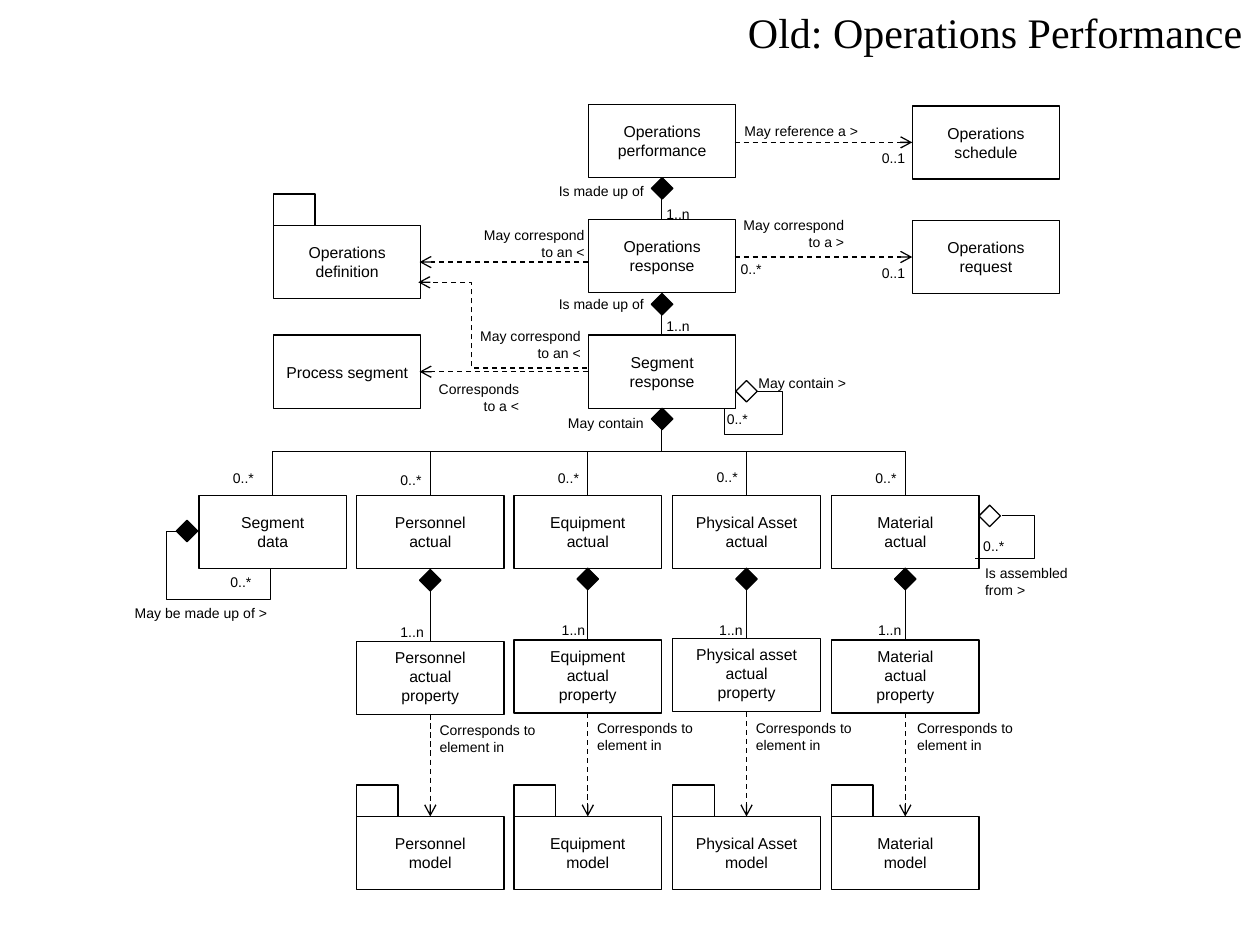
from dataclasses import dataclass

from lxml.etree import SubElement
from pptx import Presentation
from pptx.dml.color import RGBColor
from pptx.enum.dml import MSO_LINE
from pptx.enum.shapes import MSO_CONNECTOR as Link, MSO_SHAPE as Kind
from pptx.enum.text import MSO_ANCHOR as Anchor, MSO_AUTO_SIZE as Fit, PP_ALIGN as Align
from pptx.oxml.ns import qn
from pptx.util import Inches, Pt

BLACK = RGBColor(0, 0, 0)
WHITE = RGBColor(255, 255, 255)
WIDE, HIGH = 1.17, 0.58
MID = WIDE / 2
GEM = 0.17
TRUNK = 5.25
SPLIT, ROW = 3.24, 3.93
PACK = 6.48


@dataclass
class Box:
    text: str
    left: float
    top: float
    tab: bool = False
    inset: float = 0.05


@dataclass
class Label:
    text: str
    left: float
    top: float
    wide: float
    high: float = 0.24
    align: Align = Align.LEFT
    size: float = 8
    font: str = "Arial"


@dataclass
class Gem:
    left: float
    top: float
    fill: RGBColor = BLACK


@dataclass
class Line:
    start: tuple[float, float]
    end: tuple[float, float]
    dash: bool = False


@dataclass
class Path:
    points: list[tuple[float, float]]
    dash: bool = False


@dataclass
class Column:
    name: str
    left: float
    prop: float
    gem: float
    many: Label
    one: Label
    note: Label


def column(name: str, left: float, prop: float, many: float,
           one: tuple[float, float], note: tuple[float, float], gem: float = 4.51) -> Column:
    return Column(name, left, prop, gem,
                  Label("0..*", left + 0.25, many, 0.37),
                  Label("1..n", *one, 0.39, 0.23),
                  Label("Corresponds to\nelement in", *note, 1, 0.37))


COLUMNS = [
    column("Personnel", 2.83, 5.09, 3.69, (3.08, 4.9), (3.39, 5.68), 4.52),
    column("Equipment", 4.08, 5.08, 3.68, (4.36, 4.88), (4.64, 5.66)),
    column("Physical Asset", 5.34, 5.07, 3.67, (5.61, 4.88), (5.9, 5.66)),
    column("Material", 6.6, 5.08, 3.68, (6.87, 4.88), (7.18, 5.66)),
]
BOXES = [
    Box("Operations\nperformance", 4.67, 0.83),
    Box("Operations\nresponse", 4.67, 1.74),
    Box("Segment\nresponse", 4.67, 2.66),
    Box("Operations\nschedule", 7.24, 0.84),
    Box("Operations\nrequest", 7.24, 1.75),
    Box("Operations\ndefinition", 2.17, 1.79, tab=True),
    Box("Process segment", 2.17, 2.66),
    Box("Segment\ndata", 1.58, ROW),
]
LINES = [
    Line((TRUNK, 1.41), (TRUNK, 1.74)),
    Line((TRUNK, 2.33), (TRUNK, 2.66)),
    Line((5.83, 1.13), (7.24, 1.13), True),
    Line((5.83, 2.04), (7.24, 2.04), True),
    Line((4.67, 2.08), (3.33, 2.08), True),
    Line((4.67, 2.95), (3.33, 2.95), True),
]
PATHS = [
    Path([(4.66, 2.92), (3.74, 2.92), (3.74, 2.24), (3.32, 2.24)], True),
    Path([(5.75, 3.24), (5.75, 3.45), (6.21, 3.45), (6.21, 3.11), (5.84, 3.11)]),
    Path([(7.95, 4.09), (8.21, 4.09), (8.21, 4.43), (7.74, 4.43)]),
    Path([(1.57, 4.22), (1.32, 4.22), (1.32, 4.76), (2.15, 4.76), (2.15, 4.51)]),
]
GEMS = [Gem(5.17, top) for top in (1.41, 2.33, SPLIT)] + [
    Gem(1.4, 4.13), Gem(5.84, 3.02, WHITE), Gem(7.77, 4.01, WHITE)]
LABELS = [
    Label("Old: Operations Performance", 5.8, 0, 4.16, 0.5, Align.RIGHT, 24, "Times New Roman"),
    Label("May reference a >", 5.8, 0.92, 1.11, align=Align.RIGHT),
    Label("0..1", 6.9, 1.14, 0.39, 0.23),
    Label("Is made up of", 4.33, 1.4, 0.88, 0.23, Align.RIGHT),
    Label("1..n", 5.19, 1.58, 0.39, 0.23),
    Label("May correspond\nto a >", 5.8, 1.67, 1, 0.37, Align.RIGHT),
    Label("0..*", 5.78, 2.02, 0.37),
    Label("0..1", 6.9, 2.05, 0.39, 0.23),
    Label("May correspond\nto an <", 3.74, 1.75, 1, 0.37, Align.RIGHT),
    Label("Is made up of", 4.33, 2.3, 0.88, 0.23, Align.RIGHT),
    Label("1..n", 5.19, 2.47, 0.39, 0.23),
    Label("May correspond\nto an <", 3.71, 2.55, 1, 0.37, Align.RIGHT),
    Label("Corresponds\nto a <", 3.38, 2.97, 0.84, 0.37, Align.RIGHT),
    Label("May contain >", 5.92, 2.92, 0.91),
    Label("0..*", 5.67, 3.21, 0.37),
    Label("May contain", 4.41, SPLIT, 0.8, 0.23),
    Label("0..*", 1.75, 3.68, 0.37),
    Label("0..*", 1.73, 4.5, 0.37),
    Label("May be made up of >", 0.95, 4.75, 1.27, align=Align.RIGHT),
    Label("0..*", 7.7, 4.22, 0.37, align=Align.RIGHT),
    Label("Is assembled\nfrom >", 7.72, 4.43, 0.86, 0.37),
]


def write(frame, text: str, size: float, font: str, align: Align) -> None:
    frame.word_wrap = False
    frame.text = text
    for para in frame.paragraphs:
        para.alignment = align
        para.font.size, para.font.name = Pt(size), font
        para.font.color.rgb = BLACK


def ink(line, dash: bool) -> None:
    line.color.rgb = BLACK
    line.width = Pt(0.75)
    if dash:
        line.dash_style = MSO_LINE.DASH
        SubElement(line._get_or_add_ln(), qn("a:tailEnd"), type="arrow")


def draw_shape(shapes, kind: Kind, left: float, top: float, wide: float, high: float,
               fill: RGBColor = WHITE):
    shape = shapes.add_shape(kind, Inches(left), Inches(top), Inches(wide), Inches(high))
    shape.shadow.inherit = False
    shape.fill.solid()
    shape.fill.fore_color.rgb = fill
    ink(shape.line, False)
    return shape


def draw_box(shapes, box: Box) -> None:
    shape = draw_shape(shapes, Kind.RECTANGLE, box.left, box.top, WIDE, HIGH)
    frame = shape.text_frame
    frame.vertical_anchor = Anchor.MIDDLE
    frame.margin_top = Inches(box.inset)
    write(frame, box.text, 9, "Arial", Align.CENTER)
    if box.tab:
        draw_shape(shapes, Kind.RECTANGLE, box.left, box.top - 0.25, 0.33, 0.25)


def draw_label(shapes, label: Label) -> None:
    area = shapes.add_textbox(Inches(label.left), Inches(label.top),
                              Inches(label.wide), Inches(label.high))
    write(area.text_frame, label.text, label.size, label.font, label.align)
    area.text_frame.auto_size = Fit.SHAPE_TO_FIT_TEXT


def draw_line(shapes, line: Line, kind: Link = Link.STRAIGHT):
    link = shapes.add_connector(kind, *(Inches(n) for n in line.start + line.end))
    ink(link.line, line.dash)
    SubElement(link._element.spPr, qn("a:effectLst"))
    return link


def draw_branch(shapes, mid: float) -> None:
    span, rise = abs(mid - TRUNK), ROW - SPLIT
    left, top = (mid + TRUNK - rise) / 2, (ROW + SPLIT - span) / 2
    ends = (left, top), (left + rise, top + span)
    if mid > TRUNK:
        ends = (left + rise, top), (left, top + span)
    link = draw_line(shapes, Line(*ends), Link.ELBOW)
    turn = 90 if mid > TRUNK else 270
    link._element.spPr.find(qn("a:xfrm")).set("rot", str(turn * 60000))


def draw_path(shapes, path: Path) -> None:
    first, *rest = [(Inches(x), Inches(y)) for x, y in path.points]
    pen = shapes.build_freeform(*first)
    pen.add_line_segments(rest, close=False)
    shape = pen.convert_to_shape()
    shape.shadow.inherit = False
    shape.fill.background()
    ink(shape.line, path.dash)


def main() -> None:
    deck = Presentation()
    deck.slide_width, deck.slide_height = Inches(10), Inches(7.5)
    shapes = deck.slides.add_slide(deck.slide_layouts[6]).shapes
    boxes, lines, gems, labels = list(BOXES), list(LINES), list(GEMS), list(LABELS)
    for col in COLUMNS:
        mid, base = col.left + MID, col.prop + HIGH
        boxes += [Box(f"{col.name}\nactual", col.left, ROW),
                  Box(f"{col.name.capitalize()}\nactual\nproperty", col.left, col.prop, inset=0.02),
                  Box(f"{col.name}\nmodel", col.left, PACK, tab=True)]
        lines += [Line((mid, ROW + HIGH), (mid, col.prop)), Line((mid, base), (mid, PACK), True)]
        gems.append(Gem(mid - GEM / 2, col.gem))
        labels += [col.many, col.one, col.note]
    for box in boxes:
        draw_box(shapes, box)
    for left in [1.58] + [col.left for col in COLUMNS]:
        draw_branch(shapes, left + MID)
    for line in lines:
        draw_line(shapes, line)
    for path in PATHS:
        draw_path(shapes, path)
    for gem in gems:
        draw_shape(shapes, Kind.DIAMOND, gem.left, gem.top, GEM, GEM, gem.fill)
    for label in labels:
        draw_label(shapes, label)
    deck.save("out.pptx")


if __name__ == "__main__":
    main()
